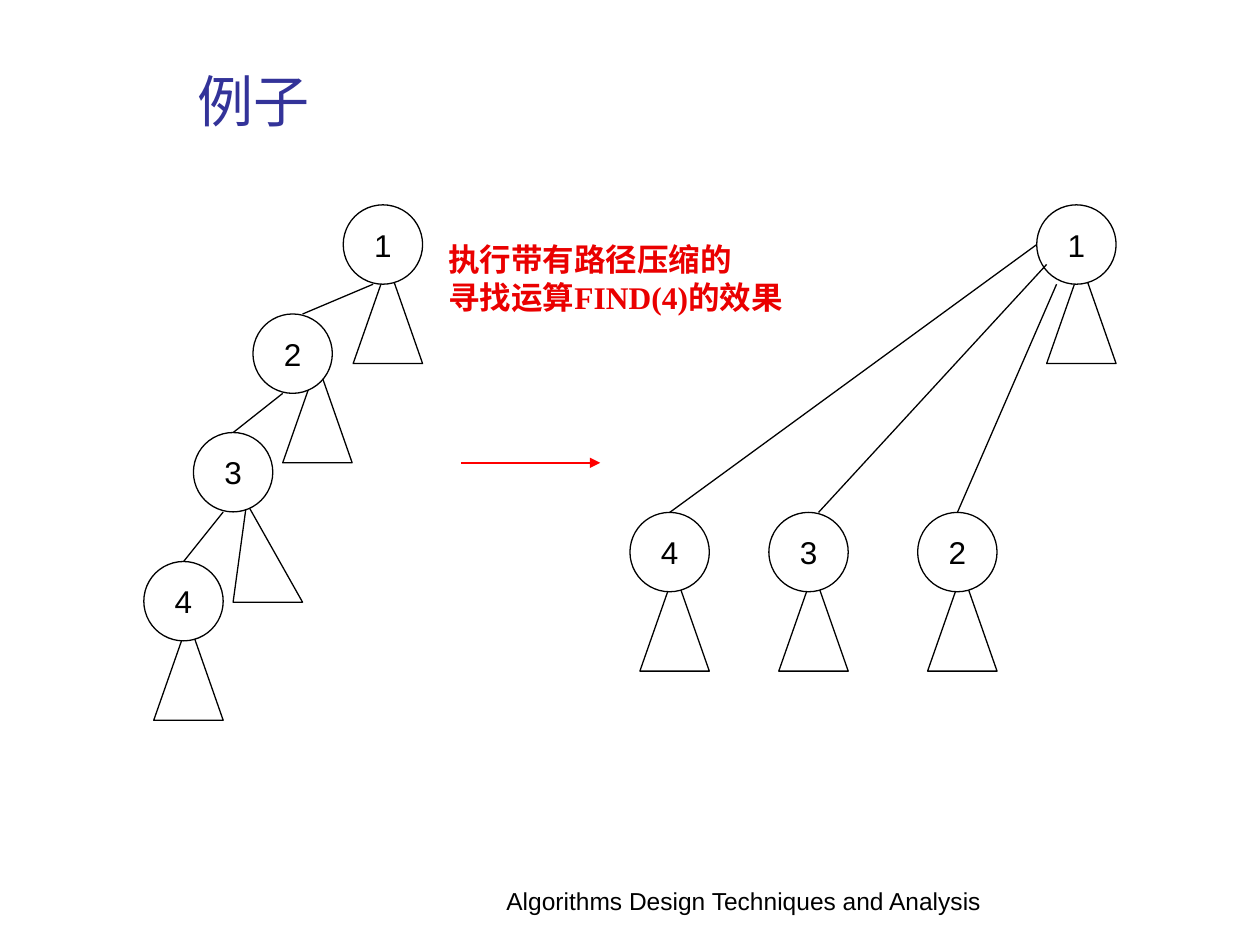
from pptx import Presentation
from pptx import util as u
from pptx.dml import color
from pptx.enum import shapes, text
from pptx.oxml.ns import qn
from lxml import etree

DISC = 1.6
TRI_W, TRI_H = 1.4, 2.0
LEFT, MID = text.PP_ALIGN.LEFT, text.PP_ALIGN.CENTER


def rgb(code):
    return color.RGBColor.from_string(code)


def write(frame, lines, size=18, font="Arial", ink="000000", bold=False,
          align=LEFT, anchor=text.MSO_ANCHOR.TOP, wrap=False):
    frame.word_wrap = wrap
    frame.auto_size = text.MSO_AUTO_SIZE.NONE
    frame.vertical_anchor = anchor
    for i, line in enumerate(lines.split("\n")):
        para = frame.add_paragraph() if i else frame.paragraphs[0]
        para.alignment = align
        run = para.add_run()
        run.text = line
        run.font.size = u.Pt(size)
        run.font.name = font
        run.font.bold = bold
        run.font.color.rgb = rgb(ink)


class Page:
    """Holds the slide and the style of its tree drawings."""

    ink, fill, thin = "000000", "FFFFFF", 0.75

    def __init__(self, slide):
        self.slide = slide

    def title(self, words, box, indent):
        hold = self.slide.shapes.title
        hold.left, hold.top, hold.width, hold.height = map(u.Cm, box)
        write(hold.text_frame, words, size=32, font="Times New Roman",
              ink="333399", anchor=text.MSO_ANCHOR.MIDDLE, wrap=True)
        hold.text_frame.margin_left = u.Cm(indent)

    def label(self, words, box, **form):
        area = self.slide.shapes.add_textbox(*map(u.Cm, box))
        write(area.text_frame, words, **form)

    def shape(self, kind, *box):
        item = self.slide.shapes.add_shape(kind, *map(u.Cm, box))
        item.shadow.inherit = False
        item.fill.solid()
        item.fill.fore_color.rgb = rgb(self.fill)
        item.line.color.rgb = rgb(self.ink)
        item.line.width = u.Pt(self.thin)
        return item

    def node(self, name, spot, shift=(0.2, 1.2), peak=0.5):
        """Draw a numbered disc over the triangle of its subtree."""
        x, y = spot
        tri = self.shape(shapes.MSO_SHAPE.ISOSCELES_TRIANGLE,
                         x + shift[0], y + shift[1], TRI_W, TRI_H)
        tri.adjustments[0] = peak
        disc = self.shape(shapes.MSO_SHAPE.OVAL, x, y, DISC, DISC)
        write(disc.text_frame, name, align=MID,
              anchor=text.MSO_ANCHOR.MIDDLE)

    def line(self, start, end, ink=None, width=None, arrow=False):
        link = self.slide.shapes.add_connector(
            shapes.MSO_CONNECTOR.STRAIGHT, *map(u.Cm, (*start, *end)))
        link.line.color.rgb = rgb(ink or self.ink)
        link.line.width = u.Pt(width or self.thin)
        if arrow:
            etree.SubElement(link.line._get_or_add_ln(), qn("a:tailEnd"),
                             type="triangle")
        etree.SubElement(link._element.spPr, qn("a:effectLst"))

    def edge(self, upper, lower, leave, enter=0.8):
        """Join a point of the upper disc's box to the top of the lower."""
        self.line((upper[0] + leave[0], upper[1] + leave[1]),
                  (lower[0] + enter, lower[1]))


def main():
    deck = Presentation()
    deck.slide_width, deck.slide_height = u.Cm(25.4), u.Cm(19.05)
    page = Page(deck.slides.add_slide(deck.slide_layouts[5]))

    page.title("例子", (2.44, 0.74, 21.87, 2.57), indent=1.54)
    page.label("Algorithms Design Techniques and Analysis",
               (9.7, 17.73, 10.59, 1.19), size=14, align=MID, wrap=True)

    # Chain before the search
    chain = [(6.92, 4.13), (5.1, 6.33), (3.9, 8.72), (2.9, 11.32)]
    forms = [{}, {"shift": (0.6, 1.0)},
             {"shift": (0.8, 1.42), "peak": 0.195}, {}]
    for i, (spot, form) in enumerate(zip(chain, forms), 1):
        page.node(str(i), spot, **form)
    for upper, lower, enter in zip(chain, chain[1:], (1.0, 0.8, 0.8)):
        page.edge(upper, lower, (0.6, DISC), enter)

    page.line((9.3, 9.33), (12.1, 9.33), ink="FF0000", width=1.25, arrow=True)

    # Flat tree after path compression
    root = (20.9, 4.13)
    page.node("1", root)
    leaves = [("4", 12.7, 0.8), ("3", 15.5, 1.0), ("2", 18.5, 0.8)]
    for i, (name, x, enter) in enumerate(leaves):
        spot = (x, 10.33)
        page.node(name, spot)
        page.edge(root, spot, (0.2 * i, 0.8 + 0.4 * i), enter)

    page.label("执行带有路径压缩的\n寻找运算FIND(4)的效果",
               (8.79, 4.72, 7.54, 2.54), font="Times New Roman",
               ink="EA0000", bold=True)
    deck.save("out.pptx")


if __name__ == "__main__":
    main()
